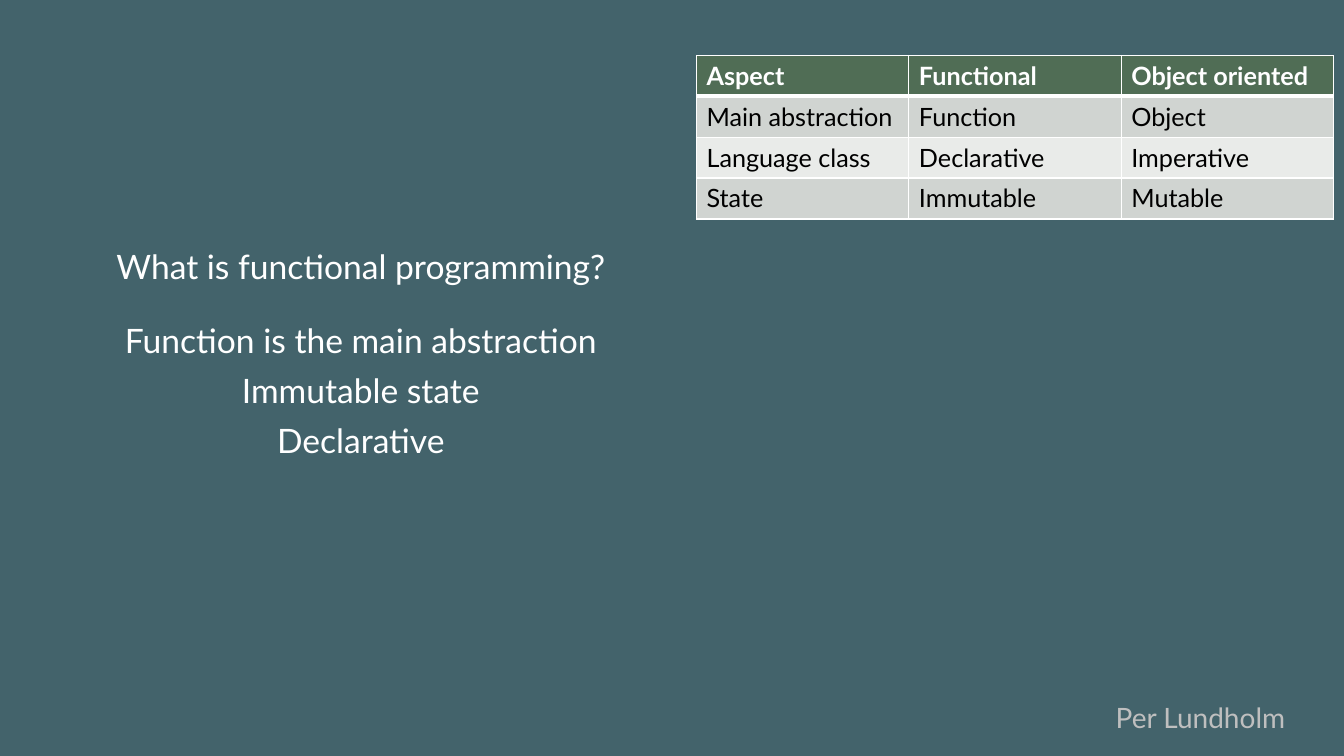
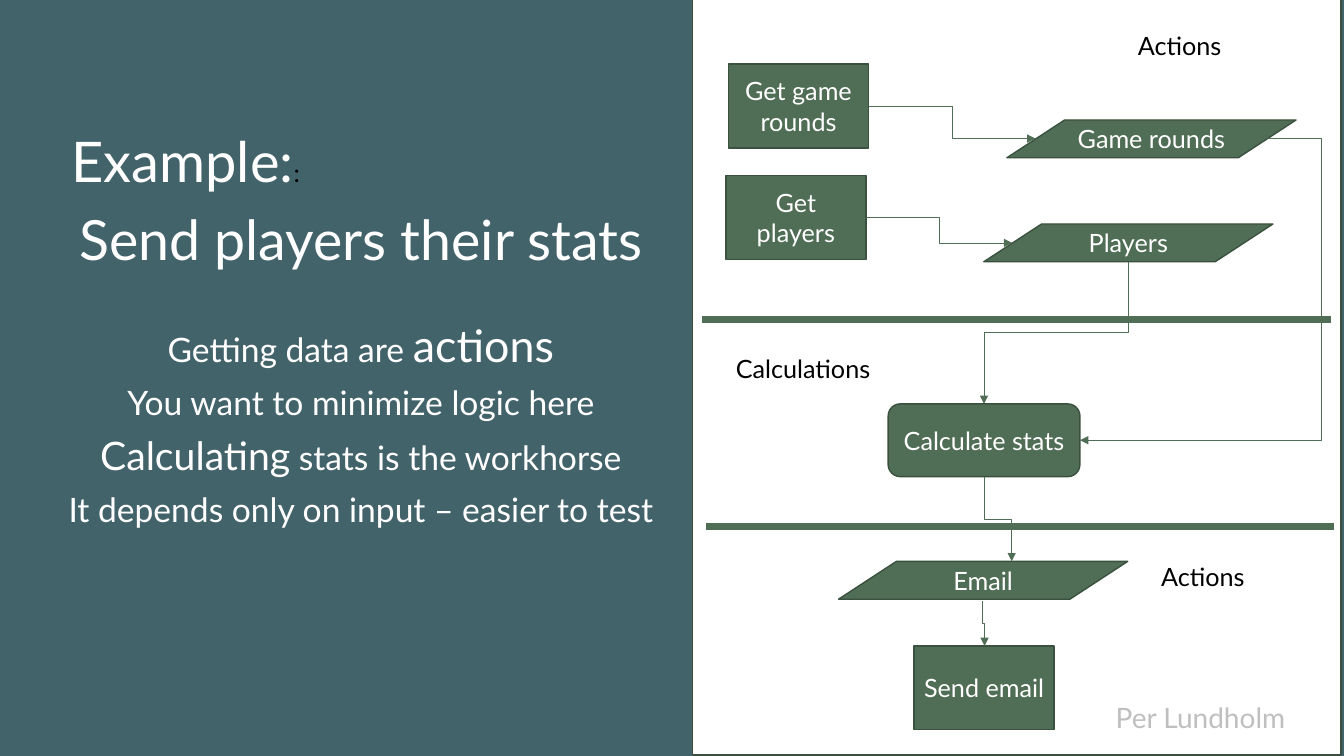
from lxml import etree
from pptx import Presentation
from pptx.dml.color import RGBColor
from pptx.enum import shapes, text
from pptx.oxml import ns
from pptx.util import Pt

FONT = "Lato"
COLORS = {
    "slate": "43636B", "green": "506D55", "edge": "3B513F", "white": "FFFFFF",
    "black": "000000", "footer": "BFBFBF", "odd": "D0D4D1", "even": "E9EBE9",
}
ALIGN, SHAPE = text.PP_ALIGN, shapes.MSO_SHAPE
PROCESS, DATA = SHAPE.FLOWCHART_PROCESS, SHAPE.FLOWCHART_DATA
TITLE_BOX = (36, 166, 443.5, 52)
BODY_BOX = (36, 228, 443.5, 173)
ASPECTS = [
    ("Aspect", "Functional", "Object oriented"),
    ("Main abstraction", "Function", "Object"),
    ("Language class", "Declarative", "Imperative"),
    ("State", "Immutable", "Mutable"),
]
NODES = [
    (DATA, "Players", (702.7, 160, 206.6, 27)),
    (PROCESS, "Get game rounds", (520.4, 45.8, 100, 59.8)),
    (DATA, "Game rounds", (719.2, 85.7, 206.6, 27)),
    (PROCESS, "Get players", (518.5, 125.4, 100, 59.8)),
    (SHAPE.FLOWCHART_ALTERNATE_PROCESS, "Calculate stats", (634.4, 288.5, 137, 52)),
    (PROCESS, "Send email", (653, 461.4, 100, 59.8)),
    (DATA, "Email", (599, 401, 206.6, 27)),
]
ACROSS = [
    ((905, 99), (771.5, 314.4), -0.29),
    ((620.4, 75.7), (739.6, 99), 0.5),
    ((618.5, 155.3), (723, 173.5), 0.5),
]
DOWN = [
    ((805.9, 187), (702.9, 288.5)),
    ((702.9, 340.5), (722.6, 401)),
    ((702, 429.6), (703.3, 461.4)),
]
DIVIDERS = [((501.5, 228.2), (950.6, 228.2)), ((504.2, 376.2), (953, 376.2))]
LABELS = [
    ("Actions", (805.7, 18, 99, 29)),
    ("Calculations", (518.5, 249, 125, 29)),
    ("Actions", (822.3, 397.4, 99, 29)),
]


def rgb(name):
    """Return the named palette colour."""
    return RGBColor.from_string(COLORS[name])


def pts(values):
    """Convert numbers to point lengths."""
    return [Pt(v) for v in values]


def place(sp, box):
    """Move and size a shape."""
    sp.left, sp.top, sp.width, sp.height = pts(box)


def write(tf, paras, size=18, color="white", align=ALIGN.LEFT, bold=False,
          spacing=1.0, before=0, anchor=None):
    """Fill a text frame; a paragraph is a string or a list of (text, format) runs."""
    tf.word_wrap = True
    if anchor is not None:
        tf.vertical_anchor = anchor
    for i, para in enumerate(paras):
        p = tf.add_paragraph() if i else tf.paragraphs[0]
        etree.SubElement(p._p.get_or_add_pPr(), ns.qn("a:buNone"))
        p.alignment, p.line_spacing = align, spacing
        p.space_before = Pt(before if i else 0)
        for words, fmt in [(para, {})] if isinstance(para, str) else para:
            r = p.add_run()
            r.text = words
            r.font.name, r.font.bold = FONT, bold
            r.font.size = Pt(fmt.get("size", size))
            r.font.color.rgb = rgb(fmt.get("color", color))


def add_text(s, paras, box, **fmt):
    """Add a text box."""
    write(s.shapes.add_textbox(*pts(box)).text_frame, paras, **fmt)


def add_node(s, kind, box, words=None, fill="green"):
    """Add an outlined flowchart shape with an optional label."""
    sp = s.shapes.add_shape(kind, *pts(box))
    sp.shadow.inherit = False
    sp.fill.solid()
    sp.fill.fore_color.rgb = rgb(fill)
    sp.line.color.rgb = rgb("edge")
    sp.line.width = Pt(1)
    if words:
        tf = sp.text_frame
        tf.margin_left = tf.margin_right = Pt(7)
        write(tf, [words], align=ALIGN.CENTER, anchor=text.MSO_ANCHOR.MIDDLE)


def add_line(s, kind, start, end, width):
    """Add a green connector without shadow."""
    c = s.shapes.add_connector(kind, *pts(start + end))
    c.line.color.rgb = rgb("green")
    c.line.width = Pt(width)
    etree.SubElement(c._element.spPr, ns.qn("a:effectLst"))
    return c


def add_elbow(s, start, end, bend=0.5, down=False):
    """Add a bent arrow that leaves sideways, or downwards if asked."""
    rot = 0
    if down:
        (x1, y1), (x2, y2) = start, end
        cx, cy = (x1 + x2) / 2, (y1 + y2) / 2
        side = 1 if x2 < x1 else -1
        half_w, half_h = side * (y2 - y1) / 2, abs(x2 - x1) / 2
        start, end = (cx - half_w, cy - half_h), (cx + half_w, cy + half_h)
        rot = 90 if side > 0 else 270
    c = add_line(s, shapes.MSO_CONNECTOR.ELBOW, start, end, 0.5)
    pr = c._element.spPr
    if rot:
        pr.find(ns.qn("a:xfrm")).set("rot", str(rot * 60000))
    geom = pr.find(ns.qn("a:prstGeom"))
    guides = geom.find(ns.qn("a:avLst"))
    if guides is None:
        guides = etree.SubElement(geom, ns.qn("a:avLst"))
    etree.SubElement(guides, ns.qn("a:gd"), name="adj1", fmla=f"val {round(bend * 100000)}")
    etree.SubElement(pr.find(ns.qn("a:ln")), ns.qn("a:tailEnd"), type="triangle")


def add_borders(cell, bottom):
    """Draw white cell borders with the given bottom width."""
    pr = cell._tc.get_or_add_tcPr()
    for side, width in zip("LRTB", (1, 1, 1, bottom)):
        ln = etree.SubElement(pr, ns.qn(f"a:ln{side}"), w=str(Pt(width)))
        fill = etree.SubElement(ln, ns.qn("a:solidFill"))
        etree.SubElement(fill, ns.qn("a:srgbClr"), val=COLORS["white"])


def add_grid(s, rows, box):
    """Add a banded table with a header row."""
    table = s.shapes.add_table(len(rows), len(rows[0]), *pts(box)).table
    for i, row in enumerate(rows):
        head = i == 0
        for j, words in enumerate(row):
            cell = table.cell(i, j)
            add_borders(cell, 3 if head else 1)
            cell.fill.solid()
            cell.fill.fore_color.rgb = rgb("green" if head else "odd" if i % 2 else "even")
            write(cell.text_frame, [words], color="white" if head else "black", bold=head)


def set_up(prs):
    """Set the size, background and placeholder places that all slides share."""
    prs.slide_width, prs.slide_height = pts((960, 540))
    fill = prs.slide_master.background.fill
    fill.solid()
    fill.fore_color.rgb = rgb("slate")
    layout = prs.slide_layouts[1]
    for sp, box in zip(layout.placeholders, (TITLE_BOX, BODY_BOX)):
        place(sp, box)
    return layout


def add_slide(prs, layout, title, size, body):
    """Add a slide with title and centred body."""
    s = prs.slides.add_slide(layout)
    fmt = dict(align=ALIGN.CENTER, spacing=0.9)
    for sp in s.placeholders:
        sp.text_frame.auto_size = text.MSO_AUTO_SIZE.NONE
    write(s.shapes.title.text_frame, [title], size=size, anchor=text.MSO_ANCHOR.MIDDLE, **fmt)
    write(s.placeholders[1].text_frame, body, size=24, before=10, **fmt)
    return s


def add_footer(s):
    """Add the author's name at the lower right."""
    add_text(s, ["Per Lundholm"], (601.2, 498.2, 324, 28.8), size=20, color="footer",
             align=ALIGN.RIGHT, anchor=text.MSO_ANCHOR.MIDDLE)


def add_definition(prs, layout):
    """Build the slide that defines functional programming."""
    s = add_slide(prs, layout, "What is functional programming?", 24,
                  ["Function is the main abstraction", "Immutable state", "Declarative"])
    add_footer(s)
    add_grid(s, ASPECTS, (497.5, 39.6, 455.2, 116.8))


def add_example(prs, layout):
    """Build the slide with the flow of actions and calculations."""
    s = add_slide(prs, layout, "Send players their stats", 39.6, [
        [("Getting data are ", {}), ("actions", {"size": 32})],
        "You want to minimize logic here",
        [("Calculating", {"size": 28}), (" stats is the workhorse", {})],
        "It depends only on input – easier to test",
    ])
    place(s.shapes.title, (36, 147, 443.5, 52))
    add_node(s, PROCESS, (494.8, -0.7, 463, 540), fill="white")
    add_footer(s)
    for kind, words, box in NODES:
        add_node(s, kind, box, words)
    for start, end, bend in ACROSS:
        add_elbow(s, start, end, bend)
    for start, end in DOWN:
        add_elbow(s, start, end, down=True)
    for start, end in DIVIDERS:
        add_line(s, shapes.MSO_CONNECTOR.STRAIGHT, start, end, 5)
    add_text(s, [[("Example:", {"size": 40}), (":", {"color": "black"})]], (44, 87, 419, 55.4))
    for words, box in LABELS:
        add_text(s, [words], box, color="black")


def main():
    """Build and save the presentation."""
    prs = Presentation()
    layout = set_up(prs)
    add_definition(prs, layout)
    add_example(prs, layout)
    prs.save("out.pptx")


if __name__ == "__main__":
    main()
